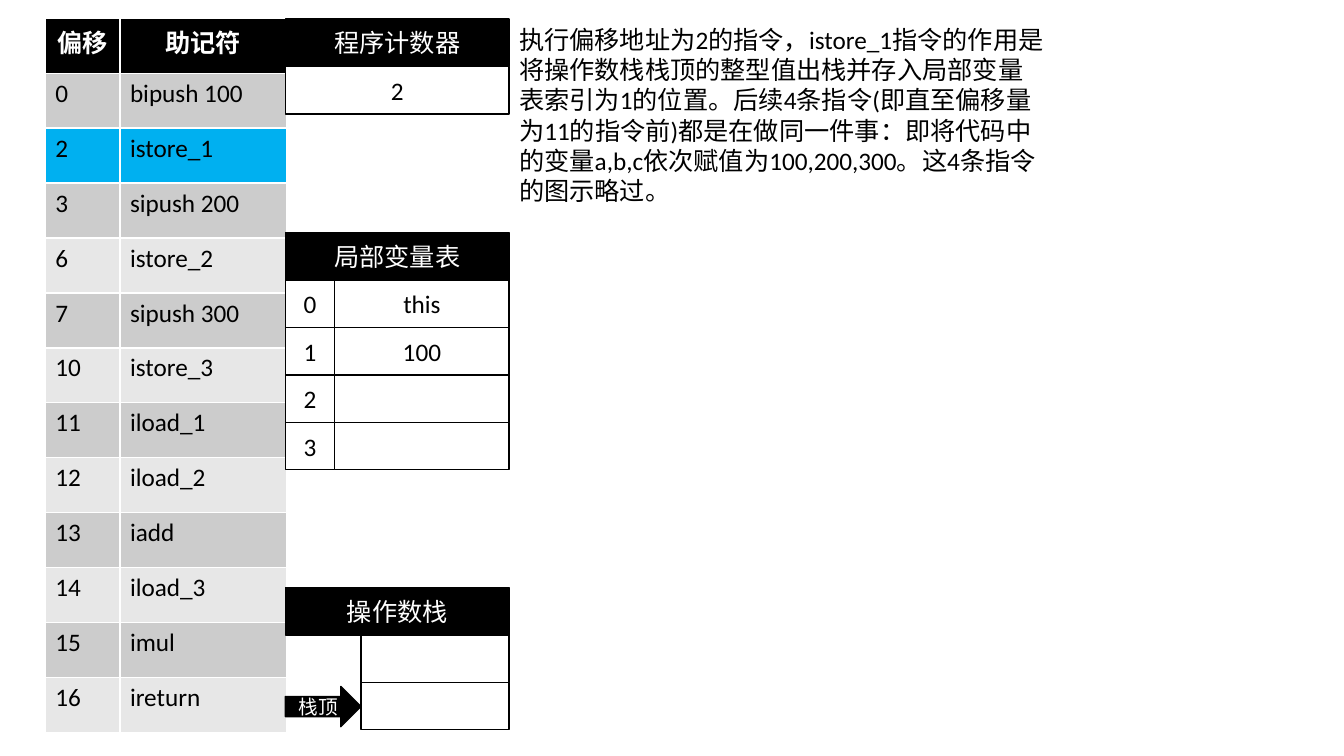
from dataclasses import dataclass

from pptx import Presentation
from pptx.dml.color import RGBColor
from pptx.enum.shapes import MSO_SHAPE
from pptx.enum.text import MSO_ANCHOR, MSO_AUTO_SIZE, PP_ALIGN
from pptx.util import Inches, Pt

RECT, ARROW = MSO_SHAPE.RECTANGLE, MSO_SHAPE.RIGHT_ARROW
CENTER, LEFT = PP_ALIGN.CENTER, PP_ALIGN.LEFT
MIDDLE = MSO_ANCHOR.MIDDLE
GROW = MSO_AUTO_SIZE.SHAPE_TO_FIT_TEXT


@dataclass(frozen=True)
class Theme:
    font: str = "Calibri"
    body: int = 18
    small: int = 14
    line: int = 1
    black: RGBColor = RGBColor(0, 0, 0)
    white: RGBColor = RGBColor(255, 255, 255)
    bands: tuple = (RGBColor(0xE7, 0xE7, 0xE7), RGBColor(0xCC, 0xCC, 0xCC))
    active: RGBColor = RGBColor(0x00, 0xB0, 0xF0)


class Board:
    def __init__(self, slide, theme):
        self.slide = slide
        self.theme = theme

    def label(self, frame, text, color, size=None, align=LEFT, bold=False):
        para = frame.paragraphs[0]
        para.text = text
        para.alignment = align
        font = para.font
        font.name = self.theme.font
        font.size = Pt(size or self.theme.body)
        font.bold = bold
        font.color.rgb = color

    def group(self):
        return self.slide.shapes.add_group_shape().shapes

    def box(self, group, x, y, w, h, text="", dark=False, kind=RECT, size=None):
        t = self.theme
        fill, ink = (t.black, t.white) if dark else (t.white, t.black)
        shape = group.add_shape(kind, Inches(x), Inches(y), Inches(w), Inches(h))
        shape.shadow.inherit = False
        shape.fill.solid()
        shape.fill.fore_color.rgb = fill
        shape.line.color.rgb = t.black
        shape.line.width = Pt(t.line)
        if text:
            shape.text_frame.vertical_anchor = MIDDLE
            self.label(shape.text_frame, text, ink, size, CENTER)

    def table(self, x, y, widths, height, rows, active):
        """Fill a header and banded rows, marking the row numbered active."""
        t = self.theme
        frame = self.slide.shapes.add_table(
            len(rows), len(widths), Inches(x), Inches(y),
            Inches(sum(widths)), Inches(height))
        grid = frame.table
        for col, width in zip(grid.columns, widths):
            col.width = Inches(width)
        for i, row in enumerate(rows):
            head = i == 0
            fill = t.black if head else t.active if i == active else t.bands[i % 2]
            for j, text in enumerate(row):
                cell = grid.cell(i, j)
                cell.fill.solid()
                cell.fill.fore_color.rgb = fill
                self.label(cell.text_frame, text, t.white if head else t.black,
                           align=CENTER if head else LEFT, bold=head)

    def note(self, x, y, w, h, text):
        frame = self.slide.shapes.add_textbox(
            Inches(x), Inches(y), Inches(w), Inches(h)).text_frame
        frame.word_wrap = True
        frame.auto_size = GROW
        self.label(frame, text, self.theme.black)


CODE = [
    ("偏移", "助记符"), ("0", "bipush 100"), ("2", "istore_1"),
    ("3", "sipush 200"), ("6", "istore_2"), ("7", "sipush 300"),
    ("10", "istore_3"), ("11", "iload_1"), ("12", "iload_2"),
    ("13", "iadd"), ("14", "iload_3"), ("15", "imul"), ("16", "ireturn"),
]
LOCALS = ["this", "100", "", ""]
NOTE = (
    "执行偏移地址为2的指令，istore_1指令的作用是将操作数栈栈顶的整型值出栈"
    "并存入局部变量表索引为1的位置。后续4条指令(即直至偏移量为11的指令前)"
    "都是在做同一件事：即将代码中的变量a,b,c依次赋值为100,200,300。"
    "这4条指令的图示略过。"
)
SIDE, WIDE, ROW = 2.83, 2.22, 0.47
INDEX, TAG = 0.49, 0.75


def main():
    deck = Presentation()
    deck.slide_width, deck.slide_height = Inches(13.33), Inches(7.5)
    theme = Theme()
    board = Board(deck.slides.add_slide(deck.slide_layouts[6]), theme)

    board.table(0.45, 0.18, (0.74, 1.65), 7.09, CODE, active=2)

    top = 2.31
    local = board.group()
    board.box(local, SIDE, top, WIDE, ROW, "局部变量表", dark=True)
    for i, value in enumerate(LOCALS):
        y = top + ROW * (i + 1)
        board.box(local, SIDE + INDEX, y, WIDE - INDEX, ROW, value)
        board.box(local, SIDE, y, INDEX, ROW, str(i))

    top = 0.19
    count = board.group()
    board.box(count, SIDE, top, WIDE, ROW, "程序计数器", dark=True)
    board.box(count, SIDE, top + ROW, WIDE, ROW, "2")

    top = 5.83
    stack = board.group()
    board.box(stack, SIDE, top, WIDE, ROW, "操作数栈", dark=True)
    for i in (1, 2):
        board.box(stack, SIDE + TAG, top + ROW * i, WIDE - TAG, ROW)
    board.box(stack, SIDE, 6.81, TAG, 0.4, "栈顶", dark=True,
              kind=ARROW, size=theme.small)

    board.note(SIDE + WIDE, 0.19, 5.42, 1.92, NOTE)
    deck.save("out.pptx")


if __name__ == "__main__":
    main()
